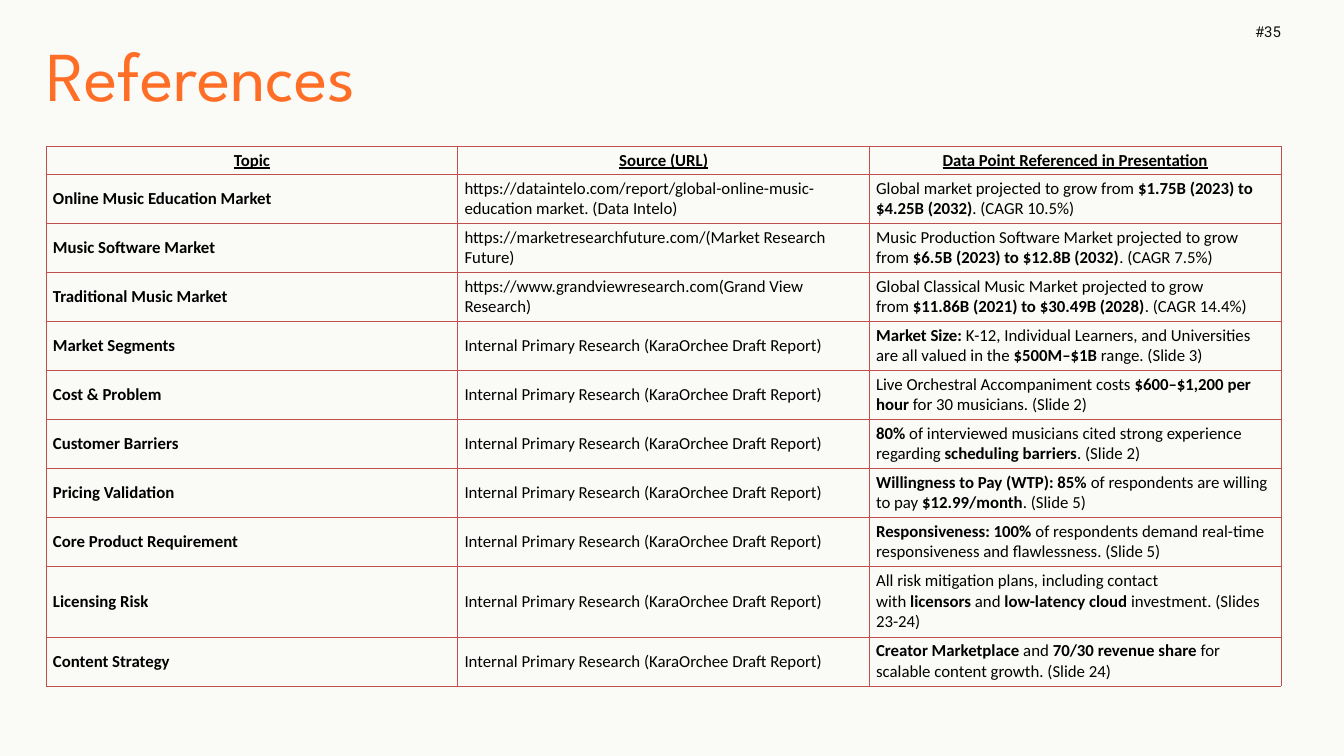
from lxml import etree
from pptx import Presentation
from pptx import util as u
from pptx.dml.color import RGBColor
from pptx.enum import text
from pptx.oxml.ns import qn

PX = 9525  # 96 px to the inch
NBSP = chr(160)

theme = {
    "back": "FAFAF7", "ink": "121212", "accent": "FF6E26",
    "cell": "000000", "rule": "C0504D",
    "title": 75, "page": 16, "body": 18,
}


def write(frame, line, font, size, color, align="LEFT", lead=None,
          bold=False, under=False):
    """Fill a frame with one paragraph; *stars* mark bold words."""
    frame.word_wrap = True
    para = frame.paragraphs[0]
    para.alignment = getattr(text.PP_ALIGN, align)
    if lead:
        para.line_spacing = u.Pt(lead)
    # spaces around bold words do not break
    line = line.replace(" *", NBSP + "*").replace("* ", "*" + NBSP)
    for i, part in enumerate(line.split("*")):
        if not part:
            continue
        run = para.add_run()
        run.text = part
        run.font.name = font
        run.font.size = u.Pt(size)
        run.font.bold = bold or i % 2 == 1
        run.font.underline = under
        run.font.color.rgb = RGBColor.from_string(color)


deck = Presentation()
deck.slide_width = 1920 * PX
deck.slide_height = 1080 * PX
slide = deck.slides.add_slide(deck.slide_layouts[5])
slide.background.fill.solid()
slide.background.fill.fore_color.rgb = RGBColor.from_string(theme["back"])

# Page number and title
page = slide.shapes.add_textbox(1743 * PX, 28 * PX, 87 * PX, 29 * PX)
title = slide.shapes.title
title.left, title.top = 66 * PX, 57 * PX
title.width, title.height = 1581 * PX, 112 * PX
for box in (page, title):
    frame = box.text_frame
    frame.margin_left = frame.margin_right = 0
    frame.margin_top = frame.margin_bottom = 0
    frame.vertical_anchor = text.MSO_ANCHOR.TOP
    frame.auto_size = text.MSO_AUTO_SIZE.NONE
write(page.text_frame, "#35", "Roboto", theme["page"], theme["ink"],
      align="RIGHT", lead=22.4)
write(title.text_frame, "References", "League Spartan", theme["title"],
      theme["accent"], lead=81)

# Table content
draft = "Internal Primary Research (KaraOrchee Draft Report)"
rows = [
    ("Topic", "Source (URL)", "Data Point Referenced in Presentation"),
    ("Online Music Education Market",
     "https://dataintelo.com/report/global-online-music-education market. (Data Intelo)",
     "Global market projected to grow from *$1.75B (2023) to $4.25B (2032)*. (CAGR 10.5%)"),
    ("Music Software Market",
     "https://marketresearchfuture.com/(Market Research Future)",
     "Music Production Software Market projected to grow from "
     "*$6.5B (2023) to $12.8B (2032)*. (CAGR 7.5%)"),
    ("Traditional Music Market",
     "https://www.grandviewresearch.com(Grand View Research)",
     "Global Classical Music Market projected to grow from "
     "*$11.86B (2021) to $30.49B (2028)*. (CAGR 14.4%)"),
    ("Market Segments", draft,
     "*Market Size:* K-12, Individual Learners, and Universities "
     "are all valued in the *$500M–$1B* range. (Slide 3)"),
    ("Cost & Problem", draft,
     "Live Orchestral Accompaniment costs *$600–$1,200 per hour* for 30 musicians. (Slide 2)"),
    ("Customer Barriers", draft,
     "*80%* of interviewed musicians cited strong experience "
     "regarding *scheduling barriers*. (Slide 2)"),
    ("Pricing Validation", draft,
     "*Willingness to Pay (WTP): 85%* of respondents are willing "
     "to pay *$12.99/month*. (Slide 5)"),
    ("Core Product Requirement", draft,
     "*Responsiveness: 100%* of respondents demand real-time "
     "responsiveness and flawlessness. (Slide 5)"),
    ("Licensing Risk", draft,
     "All risk mitigation plans, including contact with *licensors* "
     "and *low-latency cloud* investment. (Slides 23-24)"),
    ("Content Strategy", draft,
     "*Creator Marketplace* and *70/30 revenue share* for scalable "
     "content growth. (Slide 24)"),
]
highs = [40] + [70] * 8 + [101, 70]

# Table
table = slide.shapes.add_table(
    len(rows), 3, 66 * PX, 209 * PX, 1764 * PX, sum(highs) * PX).table
table.first_row = table.horz_banding = False
for col in table.columns:
    col.width = 588 * PX
for r, (row, high) in enumerate(zip(rows, highs)):
    table.rows[r].height = high * PX
    for c, line in enumerate(row):
        cell = table.cell(r, c)
        cell.vertical_anchor = text.MSO_ANCHOR.MIDDLE
        write(cell.text_frame, line, "Calibri", theme["body"], theme["cell"],
              align="LEFT" if r else "CENTER",
              bold=r == 0 or c == 0, under=r == 0)
        # Borders go before the fill
        props = cell._tc.get_or_add_tcPr()
        for side in ("a:lnL", "a:lnR", "a:lnT", "a:lnB"):
            edge = etree.SubElement(props, qn(side), w=str(u.Pt(1)))
            fill = etree.SubElement(edge, qn("a:solidFill"))
            etree.SubElement(fill, qn("a:srgbClr"), val=theme["rule"])
        cell.fill.background()

deck.save("out.pptx")
